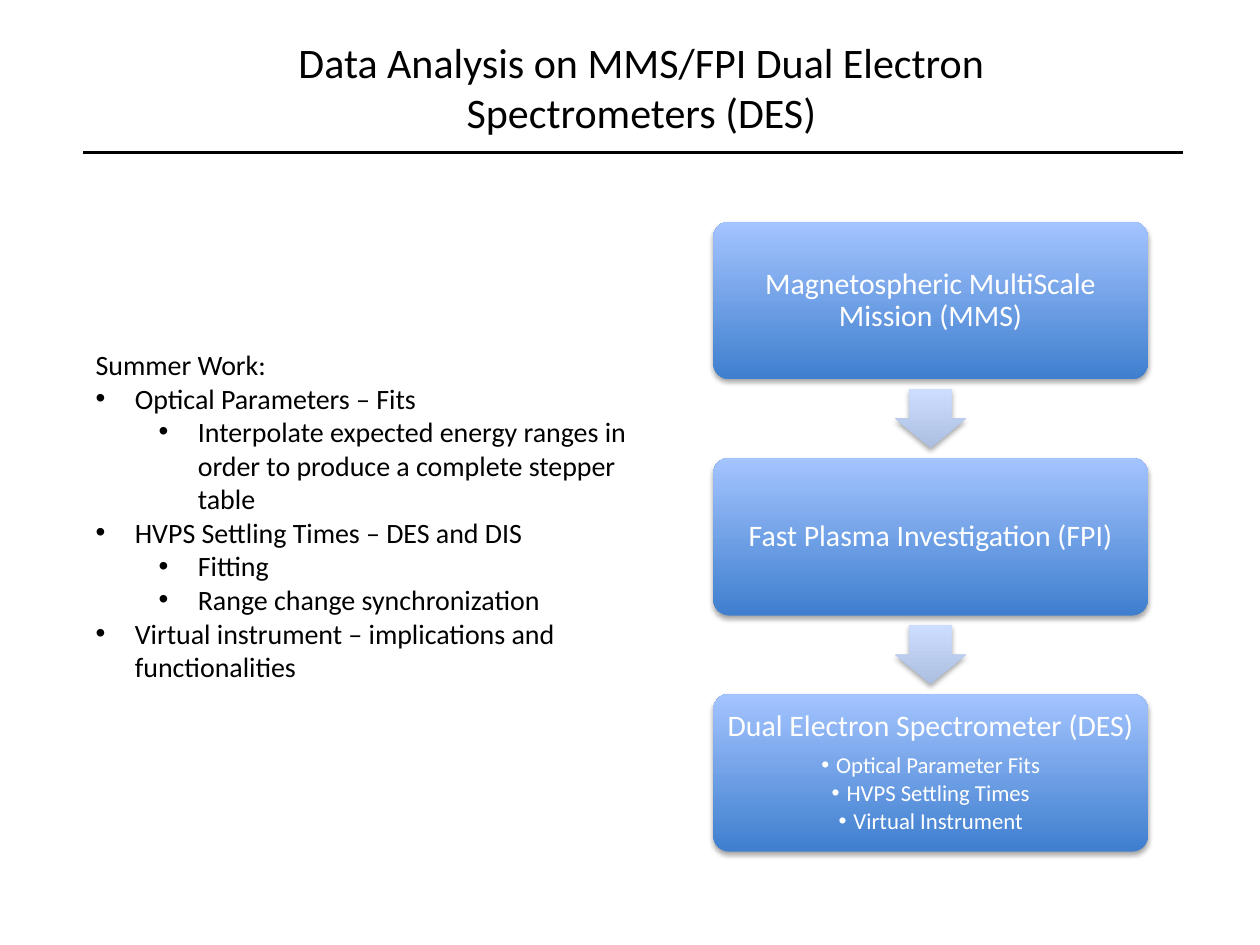
from dataclasses import dataclass

from lxml import etree
from pptx import Presentation
from pptx.dml.color import RGBColor
from pptx.enum.shapes import MSO_CONNECTOR, MSO_SHAPE
from pptx.enum.text import MSO_ANCHOR, PP_ALIGN
from pptx.oxml.ns import qn
from pptx.util import Cm, Pt

CENTER = PP_ALIGN.CENTER
MIDDLE = MSO_ANCHOR.MIDDLE
STRAIGHT = MSO_CONNECTOR.STRAIGHT
ROUNDED = MSO_SHAPE.ROUNDED_RECTANGLE
DOWN_ARROW = MSO_SHAPE.DOWN_ARROW

FONT = "Calibri"
BLACK, WHITE = "000000", "FFFFFF"
BOX_COLORS = ("3F7FCE", "A4C4FF")
ARROW_COLORS = ("ADBFE1", "CCDDFF")

BOX_LEFT, BOX_TOP, BOX_WIDTH, BOX_HEIGHT = 14.38, 4.47, 8.76, 3.18
BOX_PITCH = 4.76
ARROW_WIDTH, ARROW_HEIGHT = 1.42, 1.19


@dataclass
class Item:
    text: str
    level: int = 0
    bullet: bool = True


@dataclass
class Stage:
    title: str
    topics: tuple[str, ...] = ()


WORK_ITEMS = [
    Item("Summer Work:", bullet=False),
    Item("Optical Parameters – Fits"),
    Item("Interpolate expected energy ranges in order to produce a complete stepper table", 1),
    Item("HVPS Settling Times – DES and DIS"),
    Item("Fitting", 1),
    Item("Range change synchronization", 1),
    Item("Virtual instrument – implications and functionalities"),
]
STAGES = [
    Stage("Magnetospheric MultiScale Mission (MMS)"),
    Stage("Fast Plasma Investigation (FPI)"),
    Stage("Dual Electron Spectrometer (DES)",
          ("Optical Parameter Fits", "HVPS Settling Times", "Virtual Instrument")),
]


def color(value: str) -> RGBColor:
    return RGBColor.from_string(value)


def add_bullet(paragraph, margin: float, hanging: float) -> None:
    properties = paragraph._p.get_or_add_pPr()
    properties.set("marL", str(Cm(margin)))
    properties.set("indent", str(-Cm(hanging)))
    etree.SubElement(properties, qn("a:buFont")).set("typeface", "Arial")
    etree.SubElement(properties, qn("a:buChar")).set("char", "•")


def write(paragraph, text: str, size: int, text_color: str) -> None:
    paragraph.text = text
    for run in paragraph.runs:
        run.font.name = FONT
        run.font.size = Pt(size)
        run.font.color.rgb = color(text_color)


def next_paragraph(text_frame, index: int):
    return text_frame.add_paragraph() if index else text_frame.paragraphs[0]


def add_text_box(slide, left: float, top: float, width: float, height: float):
    text_frame = slide.shapes.add_textbox(Cm(left), Cm(top), Cm(width), Cm(height)).text_frame
    text_frame.word_wrap = True
    return text_frame


def add_title(slide, text: str) -> None:
    paragraph = add_text_box(slide, 3.53, 0.61, 18.8, 2.31).paragraphs[0]
    paragraph.alignment = CENTER
    write(paragraph, text, 24, BLACK)
    rule = slide.shapes.add_connector(STRAIGHT, Cm(1.68), Cm(3.07), Cm(23.85), Cm(3.07))
    rule.line.color.rgb = color(BLACK)
    rule.line.width = Pt(1.5)
    etree.SubElement(rule._element.spPr, qn("a:effectLst"))


def add_work_list(slide, items: list[Item]) -> None:
    text_frame = add_text_box(slide, 1.68, 6.88, 11.43, 7.09)
    for index, item in enumerate(items):
        paragraph = next_paragraph(text_frame, index)
        paragraph.level = item.level
        if item.bullet:
            add_bullet(paragraph, 0.79 + 1.27 * item.level, 0.79)
        write(paragraph, item.text, 16, BLACK)


def add_gradient_shape(slide, kind, left: float, top: float, width: float, height: float,
                       adjustments: tuple[float, ...], colors: tuple[str, str]):
    """Add a shape shaded from bottom to top, with a soft shadow below it."""
    shape = slide.shapes.add_shape(kind, Cm(left), Cm(top), Cm(width), Cm(height))
    for index, value in enumerate(adjustments):
        shape.adjustments[index] = value
    shape.fill.gradient()
    shape.fill.gradient_angle = 90
    for stop, value in zip(shape.fill.gradient_stops, colors):
        stop.color.rgb = color(value)
    shape.line.fill.background()
    shape.shadow.inherit = False
    effects = shape._element.spPr.find(qn("a:effectLst"))
    shadow = etree.SubElement(effects, qn("a:outerShdw"), blurRad=str(Pt(3.1)),
                              dist=str(Pt(1.8)), dir="5400000", rotWithShape="0")
    shade = etree.SubElement(shadow, qn("a:srgbClr"), val=BLACK)
    etree.SubElement(shade, qn("a:alpha"), val="35000")
    return shape


def add_stage(slide, stage: Stage, top: float) -> None:
    box = add_gradient_shape(slide, ROUNDED, BOX_LEFT, top, BOX_WIDTH, BOX_HEIGHT,
                             (0.1,), BOX_COLORS)
    text_frame = box.text_frame
    text_frame.word_wrap = True
    text_frame.vertical_anchor = MIDDLE
    text_frame.margin_left = text_frame.margin_right = Cm(0.18)
    text_frame.margin_top = text_frame.margin_bottom = Cm(0.18)
    for index, text in enumerate((stage.title, *stage.topics)):
        paragraph = next_paragraph(text_frame, index)
        paragraph.alignment = CENTER
        paragraph.line_spacing = 0.9
        paragraph.space_after = Pt(2 if index else 6)
        if index:
            paragraph.level = 1
            add_bullet(paragraph, 0.3, 0.3)
        write(paragraph, text, 13 if index else 17, WHITE)


def add_stages(slide, stages: list[Stage]) -> None:
    arrow_left = BOX_LEFT + (BOX_WIDTH - ARROW_WIDTH) / 2
    arrow_offset = (BOX_PITCH + BOX_HEIGHT - ARROW_HEIGHT) / 2
    for index, stage in enumerate(stages):
        top = BOX_TOP + index * BOX_PITCH
        add_stage(slide, stage, top)
        if index < len(stages) - 1:
            add_gradient_shape(slide, DOWN_ARROW, arrow_left, top + arrow_offset,
                               ARROW_WIDTH, ARROW_HEIGHT, (0.6, 0.5), ARROW_COLORS)


def main() -> None:
    presentation = Presentation()
    presentation.slide_width, presentation.slide_height = Cm(25.4), Cm(19.05)
    slide = presentation.slides.add_slide(presentation.slide_layouts[6])
    add_title(slide, "Data Analysis on MMS/FPI Dual Electron Spectrometers (DES)")
    add_work_list(slide, WORK_ITEMS)
    add_stages(slide, STAGES)
    presentation.save("out.pptx")


if __name__ == "__main__":
    main()
